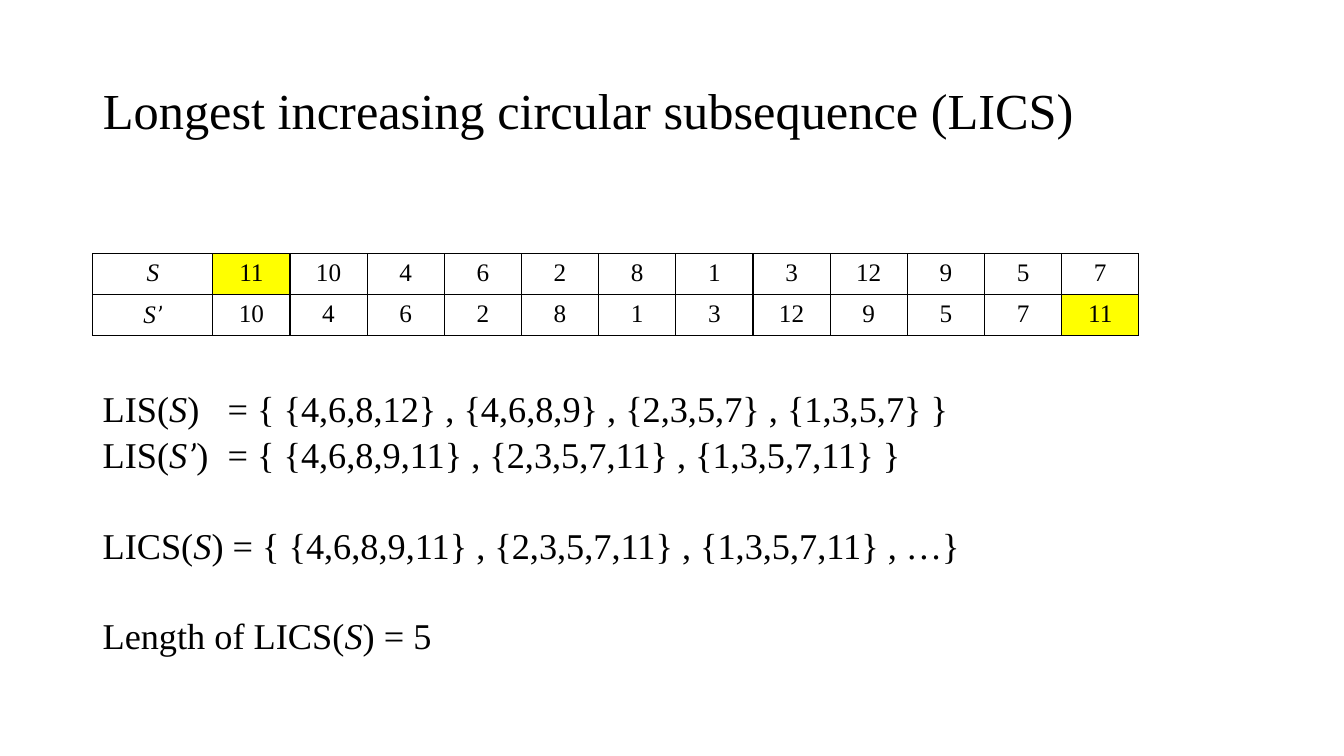
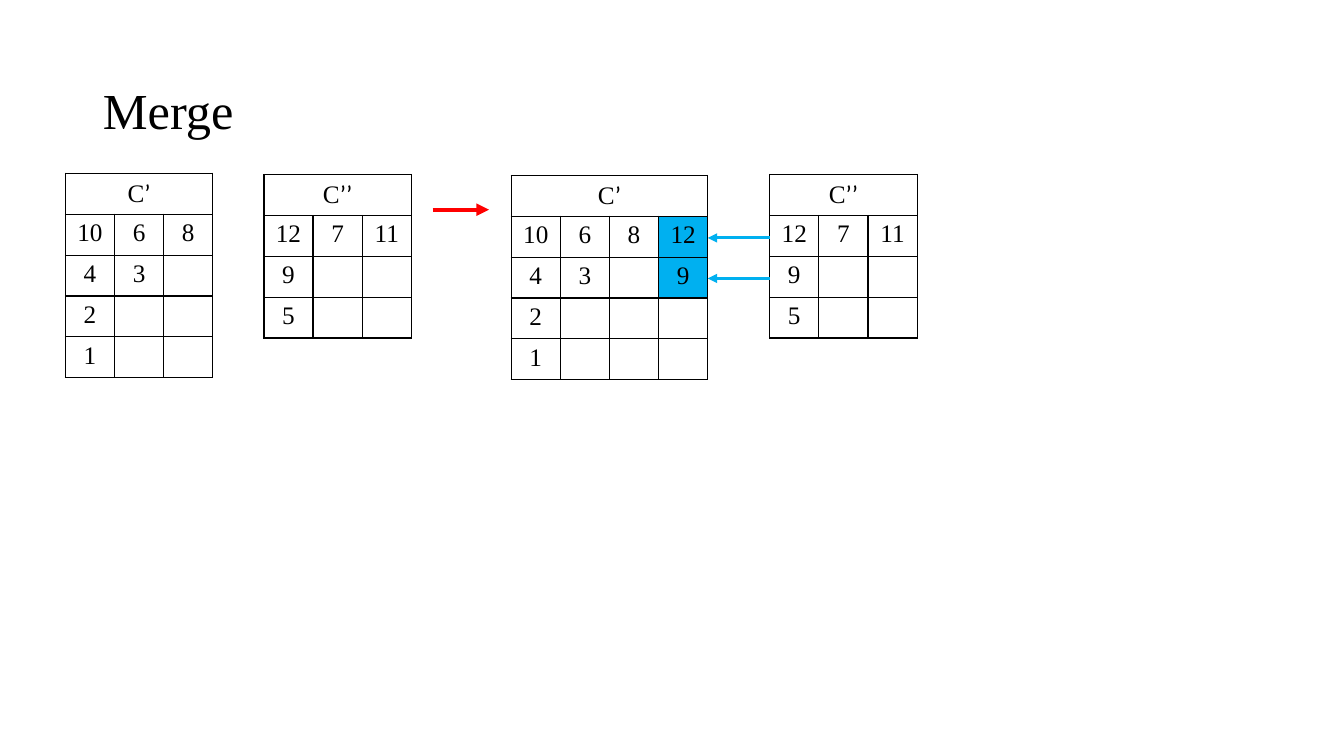
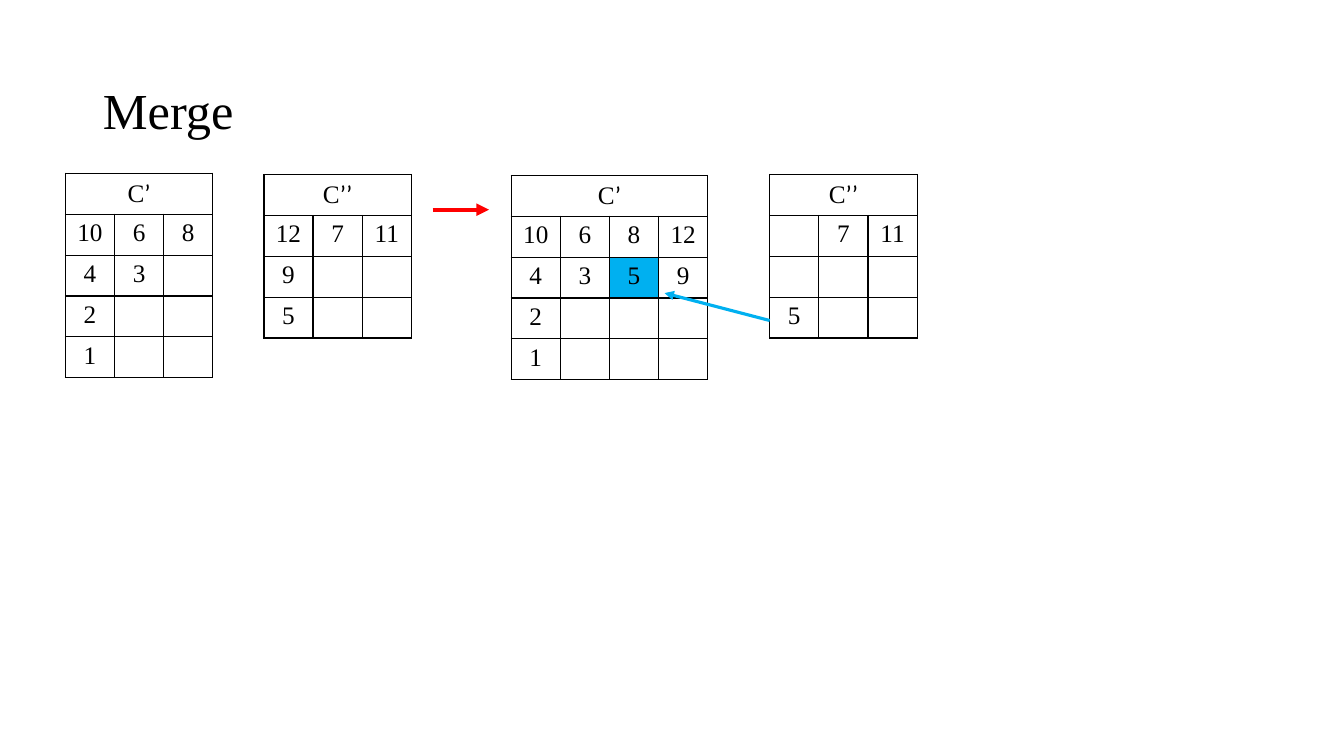
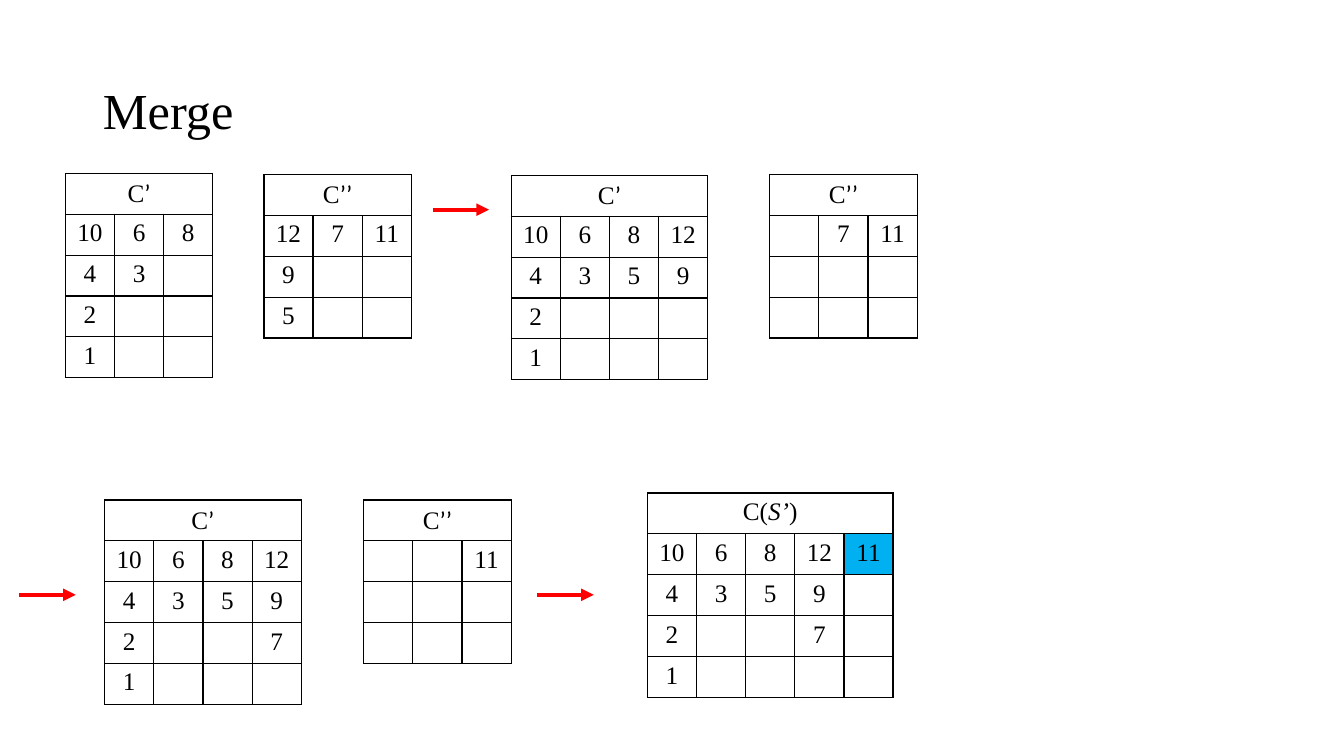
"""Slides on the longest increasing circular subsequence and the merging of covers."""
from dataclasses import dataclass, field
from typing import NamedTuple

from lxml import etree
from pptx import Presentation
from pptx import util as u
from pptx.dml.color import RGBColor
from pptx.enum import shapes, text
from pptx.oxml.ns import qn
from pptx.slide import Slide

COLORS = {"ink": "000000", "rotated": "FFFF00", "moved": "00B0F0", "step": "FF0000"}
SERIF, SANS = "Times New Roman", "Calibri"
SLIDE_W, SLIDE_H = u.Inches(13.33), u.Inches(7.5)
COL, ROW = u.Pt(35.1), u.Pt(29.2)
TITLE_LEFT, TITLE_TOP, TITLE_HEIGHT = 0.92, 0.4, 1.45


class Run(NamedTuple):
    text: str
    italic: bool = False
    font: str = SERIF


class Point(NamedTuple):
    """A place counted in columns and rows of the cell grid."""
    col: float
    row: float

    def emu(self) -> tuple[int, int]:
        return round(self.col * COL), round(self.row * ROW)


class Arrow(NamedTuple):
    start: Point
    end: Point
    color: str
    width: float


class Formula(NamedTuple):
    runs: tuple[Run, ...]
    space_before: float


@dataclass
class Grid:
    """A bordered table; "-" stands for an empty cell."""
    at: Point
    rows: list[str]
    heading: tuple[Run, ...] = ()
    row_labels: list[tuple[Run, ...]] = field(default_factory=list)
    label_width: float = 1
    cell_width: float = 1
    marked: tuple[tuple[int, int], ...] = ()
    mark_color: str = "moved"


@dataclass
class MergeStep:
    grids: list[Grid]
    arrows: list[Arrow]


S = Run("S", italic=True)
C_PRIME = (Run("C"), Run("’", font=SANS))
C_SECOND = (Run("C"), Run("’’", font=SANS))
C_ROTATED = (Run("C("), Run("S’", italic=True), Run(")"))
S_PRIME = (S, Run("’", italic=True, font=SANS))


def rgb(name: str) -> RGBColor:
    return RGBColor.from_string(COLORS[name])


def write_runs(paragraph, runs: tuple[Run, ...], size: float) -> None:
    for part in runs:
        run = paragraph.add_run()
        run.text = part.text
        run.font.size = u.Pt(size)
        run.font.name = part.font
        run.font.italic = part.italic
        run.font.color.rgb = rgb("ink")


def add_titled_slide(deck, title: str, width: float = 11.5) -> Slide:
    slide = deck.slides.add_slide(deck.slide_layouts[5])
    heading = slide.shapes.title
    heading.left, heading.top = u.Inches(TITLE_LEFT), u.Inches(TITLE_TOP)
    heading.width, heading.height = u.Inches(width), u.Inches(TITLE_HEIGHT)
    frame = heading.text_frame
    frame.vertical_anchor = text.MSO_ANCHOR.MIDDLE
    paragraph = frame.paragraphs[0]
    paragraph.alignment = text.PP_ALIGN.LEFT
    paragraph.line_spacing = 0.9
    write_runs(paragraph, (Run(title),), 36)
    return slide


def border_cell(cell) -> None:
    properties = cell._tc.get_or_add_tcPr()
    for index, side in enumerate(("lnL", "lnR", "lnT", "lnB")):
        line = etree.Element(qn(f"a:{side}"), w=str(u.Pt(1)))
        fill = etree.SubElement(line, qn("a:solidFill"))
        etree.SubElement(fill, qn("a:srgbClr"), val=COLORS["ink"])
        properties.insert(index, line)


def add_grid(slide: Slide, grid: Grid) -> None:
    contents = [[(Run(value),) if value != "-" else () for value in row.split()]
                for row in grid.rows]
    if grid.row_labels:
        contents = [[label, *row] for label, row in zip(grid.row_labels, contents)]
    if grid.heading:
        contents.insert(0, [grid.heading] + [()] * (len(contents[0]) - 1))
    count = len(contents[0])
    widths = [round(grid.cell_width * COL)] * count
    if grid.row_labels:
        widths[0] = round(grid.label_width * COL)
    table = slide.shapes.add_table(len(contents), count, *grid.at.emu(),
                                   sum(widths), ROW * len(contents)).table
    table.first_row = table.horz_banding = False
    for column, width in zip(table.columns, widths):
        column.width = width
    for r, row in enumerate(contents):
        table.rows[r].height = ROW
        for c, runs in enumerate(row):
            cell = table.cell(r, c)
            if (r, c) in grid.marked:
                cell.fill.solid()
                cell.fill.fore_color.rgb = rgb(grid.mark_color)
            else:
                cell.fill.background()
            border_cell(cell)
            paragraph = cell.text_frame.paragraphs[0]
            paragraph.alignment = text.PP_ALIGN.CENTER
            write_runs(paragraph, runs, 18)
    if grid.heading:
        table.cell(0, 0).merge(table.cell(0, count - 1))


def add_arrow(slide: Slide, arrow: Arrow) -> None:
    connector = slide.shapes.add_connector(
        shapes.MSO_CONNECTOR.STRAIGHT, *arrow.start.emu(), *arrow.end.emu())
    connector.line.color.rgb = rgb(arrow.color)
    connector.line.width = u.Pt(arrow.width)
    etree.SubElement(connector.line._get_or_add_ln(), qn("a:tailEnd"), type="triangle")
    etree.SubElement(connector._element.spPr, qn("a:effectLst"))


def add_formulas(slide: Slide, formulas: list[Formula]) -> None:
    box = slide.shapes.add_textbox(u.Inches(TITLE_LEFT), round(SLIDE_H * 0.52),
                                   u.Inches(11.5), round(SLIDE_H * 0.37))
    frame = box.text_frame
    frame.word_wrap = True
    for index, formula in enumerate(formulas):
        paragraph = frame.add_paragraph() if index else frame.paragraphs[0]
        tabs = etree.SubElement(paragraph._p.get_or_add_pPr(), qn("a:tabLst"))
        etree.SubElement(tabs, qn("a:tab"), pos=str(u.Inches(1.24)), algn="l")
        paragraph.line_spacing = 0.7
        paragraph.space_before = u.Pt(formula.space_before)
        write_runs(paragraph, formula.runs, 25.9)


def step_arrow(col: float, row: float) -> Arrow:
    return Arrow(Point(col, row), Point(col + 1.15, row), "step", 3)


def move_arrow(row: float, end: Point) -> Arrow:
    return Arrow(Point(15.66, row), end, "moved", 2.25)


def add_sequence_slide(deck) -> None:
    slide = add_titled_slide(deck, "Longest increasing circular subsequence (LICS)", 11.95)
    add_grid(slide, Grid(Point(1.89, 6.21),
                         ["11 10 4 6 2 8 1 3 12 9 5 7", "10 4 6 2 8 1 3 12 9 5 7 11"],
                         row_labels=[(S,), S_PRIME], label_width=2.44, cell_width=1.57,
                         marked=((0, 1), (1, 12)), mark_color="rotated"))
    near, far = 11, 43
    add_formulas(slide, [
        Formula((Run("LIS("), S,
                 Run(")\t= { {4,6,8,12} , {4,6,8,9} , {2,3,5,7} , {1,3,5,7} }")), 0),
        Formula((Run("LIS("), *S_PRIME,
                 Run(")\t= { {4,6,8,9,11} , {2,3,5,7,11} , {1,3,5,7,11} }")), near),
        Formula((Run("LICS("), S,
                 Run(") = { {4,6,8,9,11} , {2,3,5,7,11} , {1,3,5,7,11} , …}")), far),
        Formula((Run("Length of LICS("), S, Run(") = 5")), far),
    ])


def merged(rows: list[str], *marked: tuple[int, int]) -> Grid:
    return Grid(Point(10.4, 4.29), rows, C_PRIME, marked=marked)


def remaining(rows: list[str]) -> Grid:
    return Grid(Point(15.66, 4.27), rows, C_SECOND)


def add_merge_slide(deck, step: MergeStep) -> None:
    slide = add_titled_slide(deck, "Merge")
    second_cover = ["12 7 11", "9 - -", "5 - -"]
    start = [Grid(Point(5.37, 4.27), second_cover, C_SECOND),
             Grid(Point(1.33, 4.24), ["10 6 8", "4 3 -", "2 - -", "1 - -"], C_PRIME)]
    for grid in start + step.grids:
        add_grid(slide, grid)
    for arrow in [step_arrow(8.8, 5.13)] + step.arrows:
        add_arrow(slide, arrow)


def main() -> None:
    deck = Presentation()
    deck.slide_width, deck.slide_height = SLIDE_W, SLIDE_H
    add_sequence_slide(deck)
    tail = ["2 - - -", "1 - - -"]
    full = ["10 6 8 12", "4 3 5 9"]
    blank = "- - -"
    steps = [
        MergeStep([remaining(["12 7 11", "9 - -", "5 - -"]),
                   merged(["10 6 8 12", "4 3 - 9", *tail], (1, 3), (2, 3))],
                  [move_arrow(row, Point(14.4, row)) for row in (5.82, 6.81)]),
        MergeStep([remaining(["- 7 11", blank, "5 - -"]), merged(full + tail, (2, 2))],
                  [move_arrow(7.84, Point(13.52, 7.17))]),
        MergeStep([remaining(["- 7 11", blank, blank]), merged(full + tail),
                   Grid(Point(7.4, 12.23), ["- - 11", blank, blank], C_SECOND),
                   Grid(Point(2.13, 12.23), [*full, "2 - - 7", "1 - - -"], C_PRIME),
                   Grid(Point(13.17, 12.06),
                        ["10 6 8 12 11", "4 3 5 9 -", "2 - - 7 -", "1 - - - -"],
                        C_ROTATED, marked=((1, 4 + 0),))],
                  [step_arrow(col, 14.55) for col in (0.39, 10.93)]),
    ]
    for step in steps:
        add_merge_slide(deck, step)
    deck.save("out.pptx")


if __name__ == "__main__":
    main()
